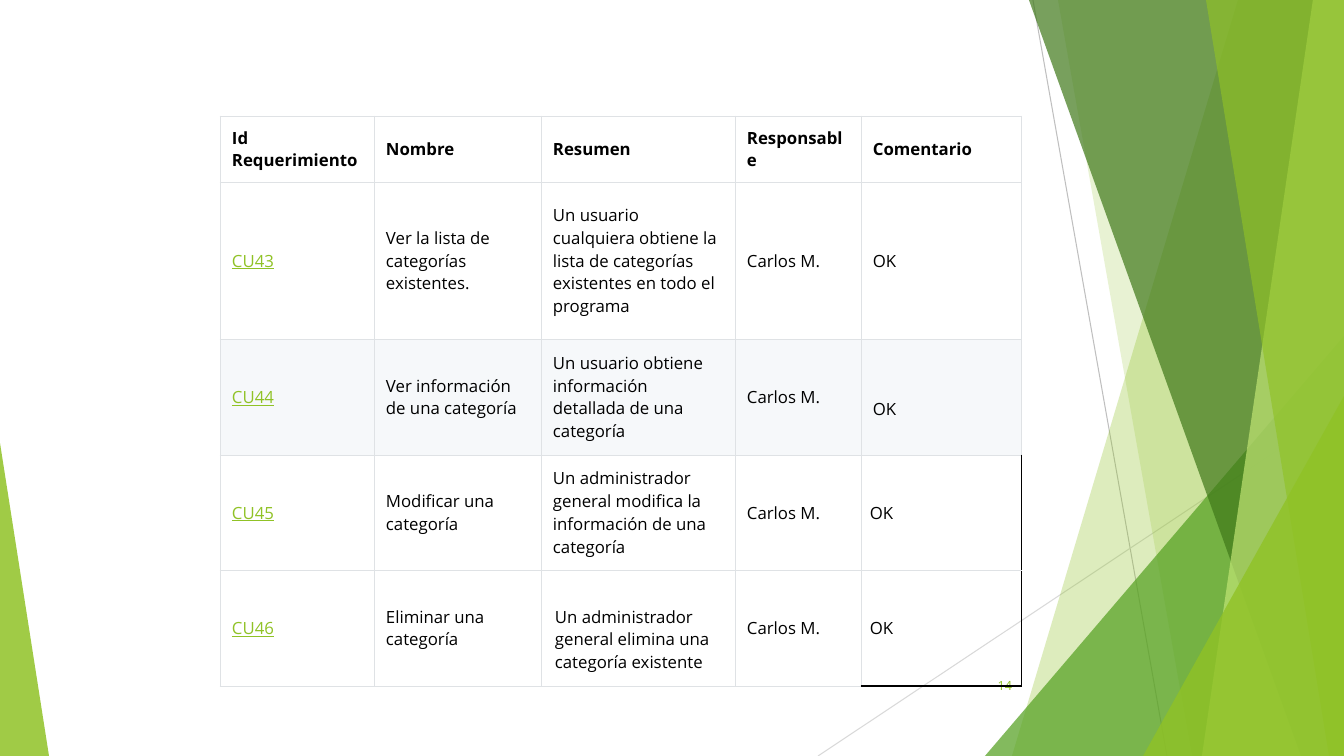
from lxml.etree import SubElement
from pptx import Presentation
from pptx.dml.color import RGBColor
from pptx.enum.shapes import MSO_CONNECTOR, MSO_SHAPE
from pptx.enum.text import MSO_ANCHOR, PP_ALIGN
from pptx.oxml.ns import qn
from pptx.util import Pt

# Content
HEADER = ("Id Requerimiento", "Nombre", "Resumen", "Responsable", "Comentario")
USE_CASES = [
    ("CU43", "Ver la lista de categorías existentes.",
     "Un usuario cualquiera obtiene la lista de categorías existentes en todo el programa"),
    ("CU44", "Ver información de una categoría",
     "Un usuario obtiene información detallada de una categoría"),
    ("CU45", "Modificar una categoría",
     "Un administrador general modifica la información de una categoría"),
    ("CU46", "Eliminar una categoría",
     "Un administrador general elimina una categoría existente"),
]
ROWS = [HEADER] + [case + ("Carlos M.", "OK") for case in USE_CASES]
PAGE_NUMBER = "14"

# Layout in pixels
WIDTH, HEIGHT = 1344, 756
SCALE = 914400 / 100.8
TABLE_LEFT, TABLE_TOP = 220, 116
COL_WIDTHS = (154, 167, 194, 126, 161)
ROW_HEIGHTS = (66, 157, 116, 115, 116)
LINE_HEIGHT = 23
MARGINS = {(3, 4): (9, 4), (4, 4): (9, 4), (4, 2): (14, 6)}
LOWERED = {(2, 4), (4, 2)}  # cells whose text sits under one empty line
UNFILLED = {(3, 4), (4, 4)}

# Decoration: lines, then bands (top x, bottom x) and triangles, back to front
RAYS = [((1033, 0), (1167, 756), "BFBFBF"), ((1344, 406), (818, 756), "D9D9D9")]
FACETS = [
    ("band", (1238, 1012), "90C226", 30),
    ("band", (1058, 1192), "90C226", 20),
    ("triangle", (985, 336, 359, 420, 1), "54A021", 72),
    ("band", (1029, 1301), "3F7819", 70),
    ("band", (1313, 1202), "C0E474", 70),
    ("band", (1206, 1329), "90C226", 65),
    ("triangle", (1143, 396, 201, 360, 1), "90C226", 80),
    ("triangle", (0, 443, 49, 313, 0), "90C226", 85),
]
FONT, GREEN, BLACK, GRID = "Open Sans", "90C226", "000000", "DFE2E5"


def px(*values):
    return [round(v * SCALE) for v in values]


def color(hex_value):
    return RGBColor.from_string(hex_value)


def style_text(p, size, hex_value):
    p.font.name, p.font.size = FONT, Pt(size)
    p.font.color.rgb = color(hex_value)


def add_facet(kind, geometry, hex_value, opacity):
    if kind == "band":
        top_x, bottom_x = geometry
        builder = s.shapes.build_freeform(top_x, 0, SCALE)
        builder.add_line_segments([(WIDTH, 0), (WIDTH, HEIGHT), (bottom_x, HEIGHT)])
        sp = builder.convert_to_shape()
    else:
        *box, apex = geometry
        sp = s.shapes.add_shape(MSO_SHAPE.ISOSCELES_TRIANGLE, *px(*box))
        sp.adjustments[0] = apex
    sp.shadow.inherit = False
    sp.line.fill.background()
    sp.fill.solid()
    sp.fill.fore_color.rgb = color(hex_value)
    tint = sp.fill._xPr.find(".//" + qn("a:srgbClr"))
    SubElement(tint, qn("a:alpha"), val=str(opacity * 1000))


def add_border(cell, side, hex_value, points):
    ln = SubElement(cell._tc.get_or_add_tcPr(), qn("a:ln" + side), w=str(Pt(points)))
    SubElement(SubElement(ln, qn("a:solidFill")), qn("a:srgbClr"), val=hex_value)


prs = Presentation()
prs.slide_width, prs.slide_height = px(WIDTH, HEIGHT)
s = prs.slides.add_slide(prs.slide_layouts[6])

# Decoration
for start, end, hex_value in RAYS:
    ray = s.shapes.add_connector(MSO_CONNECTOR.STRAIGHT, *px(*start, *end))
    ray.line.color.rgb = color(hex_value)
    ray.line.width = Pt(0.75)
    SubElement(ray._element.spPr, qn("a:effectLst"))
for facet in FACETS:
    add_facet(*facet)

# Page number
tf = s.shapes.add_textbox(*px(947, 666, 75, 40)).text_frame
tf.word_wrap = True
tf.vertical_anchor = MSO_ANCHOR.MIDDLE
p = tf.paragraphs[0]
p.text, p.alignment = PAGE_NUMBER, PP_ALIGN.RIGHT
style_text(p, 9, GREEN)

# Table
table = s.shapes.add_table(
    len(ROWS), len(HEADER),
    *px(TABLE_LEFT, TABLE_TOP, sum(COL_WIDTHS), sum(ROW_HEIGHTS))).table
table.first_row = table.horz_banding = False
for column, width in zip(table.columns, px(*COL_WIDTHS)):
    column.width = width
for row, height in zip(table.rows, px(*ROW_HEIGHTS)):
    row.height = height

for i, texts in enumerate(ROWS):
    for j, text in enumerate(texts):
        cell, is_id = table.cell(i, j), i > 0 and j == 0
        cell.vertical_anchor = MSO_ANCHOR.MIDDLE
        side, edge = MARGINS.get((i, j), (12, 5))
        cell.margin_left, cell.margin_right = px(side, side)
        drop = LINE_HEIGHT if (i, j) in LOWERED else 0
        cell.margin_top, cell.margin_bottom = px(edge + drop, edge)

        p = cell.text_frame.paragraphs[0]
        p.text = text
        style_text(p, 12, GREEN if is_id else BLACK)
        p.font.bold, p.font.underline = i == 0, is_id

        borders = {name: (GRID, 0.75) for name in "LRTB"}
        if (i, j) in UNFILLED:
            borders["R"] = (BLACK, 0.75)
            if i == len(ROWS) - 1:
                borders["B"] = (BLACK, 1.5)
        for name, line in borders.items():
            add_border(cell, name, *line)

        if (i, j) in UNFILLED:
            cell.fill.background()
        else:
            cell.fill.solid()
            cell.fill.fore_color.rgb = color("F6F8FA" if i == 2 else "FFFFFF")

prs.save("out.pptx")
